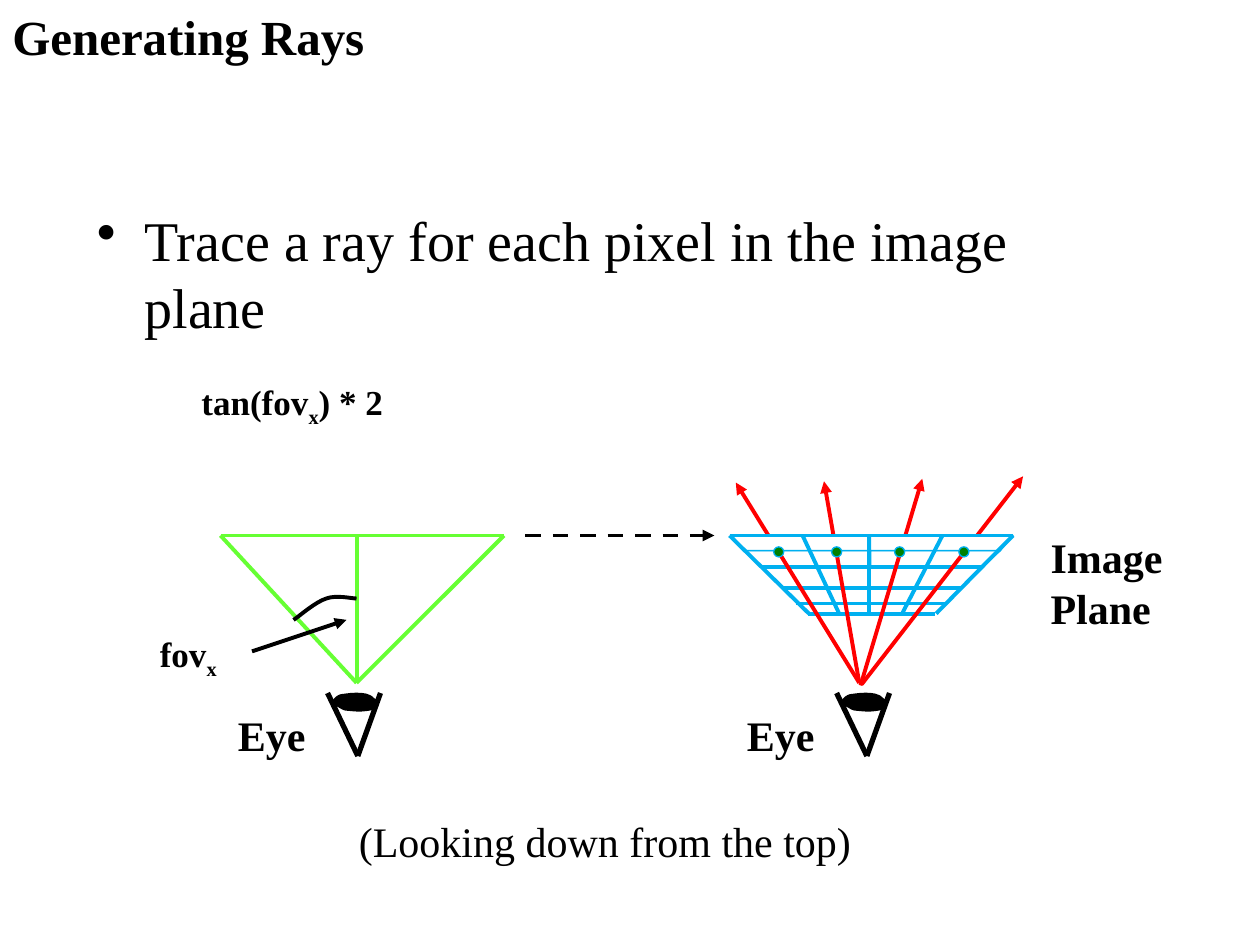
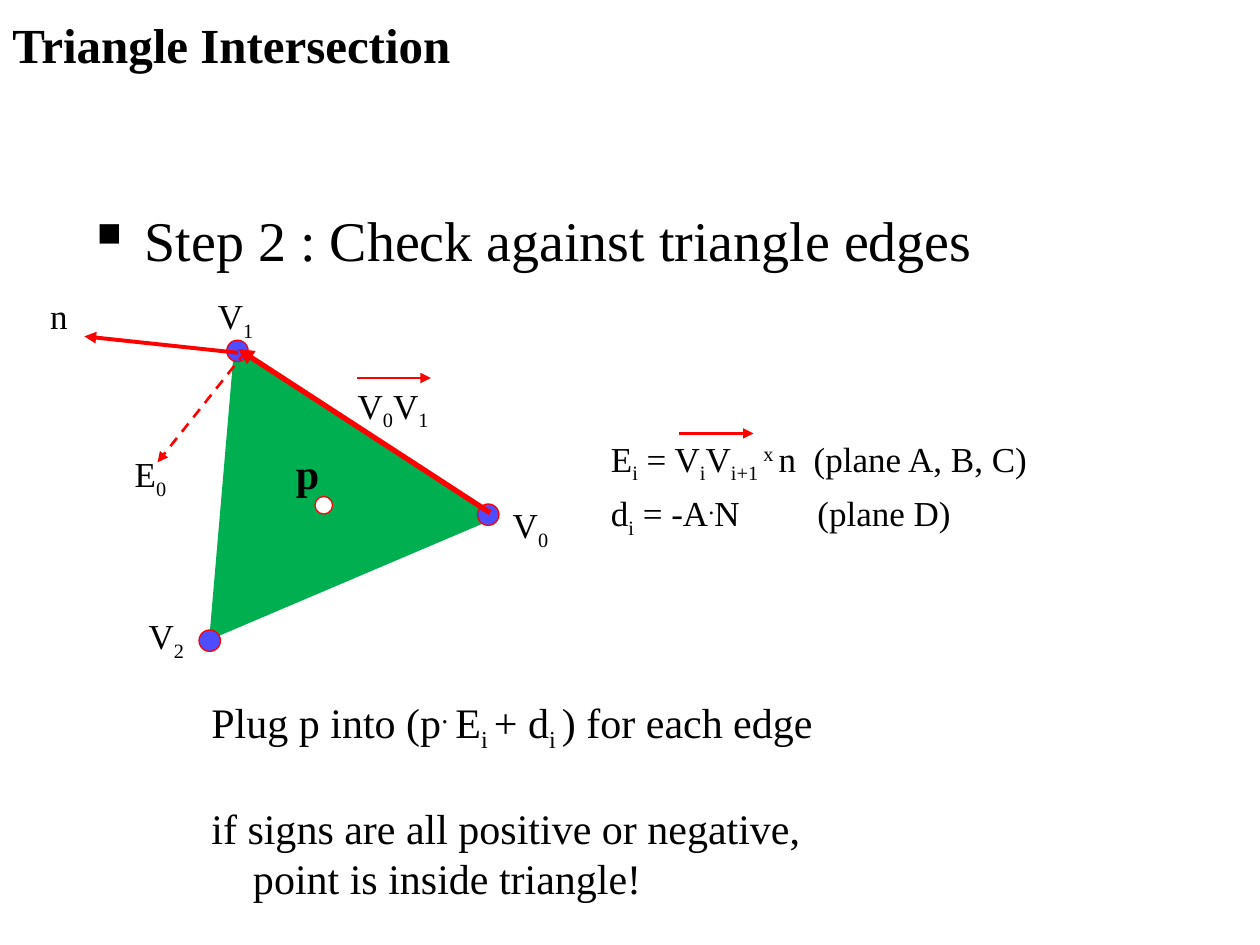
from lxml import etree
from pptx import Presentation
from pptx.dml.color import RGBColor
from pptx.enum.dml import MSO_LINE
from pptx.enum.shapes import MSO_CONNECTOR, MSO_SHAPE
from pptx.enum.text import MSO_ANCHOR, MSO_AUTO_SIZE, PP_ALIGN
from pptx.oxml.ns import qn
from pptx.util import Inches, Pt

STRAIGHT = MSO_CONNECTOR.STRAIGHT
OVAL = MSO_SHAPE.OVAL
DASH = MSO_LINE.DASH
TOP, MIDDLE = MSO_ANCHOR.TOP, MSO_ANCHOR.MIDDLE
LEFT, RIGHT = PP_ALIGN.LEFT, PP_ALIGN.RIGHT
FIT_SHAPE, NO_FIT = MSO_AUTO_SIZE.SHAPE_TO_FIT_TEXT, MSO_AUTO_SIZE.NONE

FONT = "Times New Roman"
BLACK, WHITE, RED = "000000", "FFFFFF", "FF0000"
PLANE_BLUE, PIXEL_GREEN, VIEW_GREEN = "00B0F0", "008000", "66FF33"
TRIANGLE_GREEN, VERTEX_BLUE = "00B050", "4D4DFF"
SUB, SUPER = -25, 30


def color(hex_string):
    return RGBColor.from_string(hex_string)


def curve(start, *segments, steps=8):
    """Return points along joined cubic Bezier segments."""
    points = [start]
    for first, second, end in segments:
        begin = points[-1]
        for step in range(1, steps + 1):
            t = step / steps
            u = 1 - t
            points.append(tuple(
                u**3 * a + 3 * u * u * t * b + 3 * u * t * t * c + t**3 * d
                for a, b, c, d in zip(begin, first, second, end)))
    return points


class Deck:
    def __init__(self):
        self.presentation = Presentation()
        self.presentation.slide_width = Inches(10)
        self.presentation.slide_height = Inches(7.5)
        self.shapes = None

    def new_slide(self, title, anchor, statement, bullet, bullet_percent=100):
        layout = self.presentation.slide_layouts[6]
        self.shapes = self.presentation.slides.add_slide(layout).shapes
        frame = self.text((0, 0, 9.67, 0.69), [[title]], 28, bold=True, fit=False)
        frame.vertical_anchor = anchor
        frame = self.text((0.67, 1.58, 8.5, 5.03), [[statement]], 32, fit=False)
        paragraph = frame.paragraphs[0]
        paragraph.space_before = Pt(6.4)
        properties = paragraph._p.get_or_add_pPr()
        properties.set("marL", str(Inches(0.38)))
        properties.set("indent", str(-Inches(0.38)))
        etree.SubElement(properties, qn("a:buSzPct")).set("val", str(bullet_percent * 1000))
        etree.SubElement(properties, qn("a:buChar")).set("char", bullet)

    def text(self, box, lines, size, bold=False, align=LEFT, fit=True):
        """Add lines of runs; a run is a string or (string, baseline percent[, size])."""
        frame = self.shapes.add_textbox(*map(Inches, box)).text_frame
        frame.word_wrap = not fit
        frame.auto_size = FIT_SHAPE if fit else NO_FIT
        for index, runs in enumerate(lines):
            paragraph = frame.add_paragraph() if index else frame.paragraphs[0]
            paragraph.alignment = align
            for item in runs:
                words, baseline, run_size = ((item,) if isinstance(item, str) else item) \
                    + (0, size)[len(item) - 1 if isinstance(item, tuple) else 0:]
                run = paragraph.add_run()
                run.text = words
                run.font.name = FONT
                run.font.size = Pt(run_size)
                run.font.bold = bold
                run.font.color.rgb = color(BLACK)
                if baseline:
                    run._r.get_or_add_rPr().set("baseline", str(baseline * 1000))
        return frame

    def line(self, start, end, line_color, width=2.25, arrow=False, dash=None):
        connector = self.shapes.add_connector(STRAIGHT, *map(Inches, start + end))
        connector.line.color.rgb = color(line_color)
        connector.line.width = Pt(width)
        if dash:
            connector.line.dash_style = dash
        if arrow:
            outline = connector.line._get_or_add_ln()
            etree.SubElement(outline, qn("a:tailEnd")).set("type", "triangle")
        etree.SubElement(connector._element.spPr, qn("a:effectLst"))

    def paint(self, shape, fill, line_color, width):
        shape.shadow.inherit = False
        if fill:
            shape.fill.solid()
            shape.fill.fore_color.rgb = color(fill)
        else:
            shape.fill.background()
        if line_color:
            shape.line.color.rgb = color(line_color)
            shape.line.width = Pt(width)
        else:
            shape.line.fill.background()

    def outline(self, points, fill=None, line_color=None, width=0.75, close=True):
        start, *others = [(Inches(x), Inches(y)) for x, y in points]
        builder = self.shapes.build_freeform(*start)
        builder.add_line_segments(others, close=close)
        self.paint(builder.convert_to_shape(), fill, line_color, width)

    def dot(self, left, top, diameter, fill, line_color):
        box = map(Inches, (left, top, diameter, diameter))
        self.paint(self.shapes.add_shape(OVAL, *box), fill, line_color, 0.75)

    def eye(self, x):
        """Draw an eye whose lines of sight meet at x, with its label."""
        self.text((x - 1.05, 5.58, 0.75, 0.5), [["Eye"]], 24, bold=True)
        for side in (-0.24, 0.18):
            self.line((x, 6), (x + side, 5.5), BLACK, 3)
        pupil = curve(
            (-0.19, 5.59),
            ((-0.18, 5.56), (-0.16, 5.54), (-0.13, 5.53)),
            ((-0.11, 5.53), (0.07, 5.49), (0.12, 5.56)),
            ((0.14, 5.57), (0.15, 5.58), (0.14, 5.6)),
            ((0.11, 5.62), (0.13, 5.61), (0.09, 5.62)),
            ((0.01, 5.63), (0.02, 5.63), (-0.09, 5.62)),
            ((-0.12, 5.62), (-0.16, 5.57), (-0.19, 5.59)))
        self.outline([(x + dx, y) for dx, y in pupil], BLACK, BLACK, 3)

    def pixel_row(self, upper, lower):
        """Draw the cells between two (y, xs) grid lines."""
        (top, top_xs), (bottom, bottom_xs) = upper, lower
        for i in range(len(top_xs) - 1):
            self.outline([(top_xs[i], top), (top_xs[i + 1], top),
                          (bottom_xs[i + 1], bottom), (bottom_xs[i], bottom)],
                         WHITE, PLANE_BLUE)


def generating_rays(deck):
    deck.new_slide("Generating Rays", TOP,
                   "Trace a ray for each pixel in the image plane", "•")

    for y, left, right in ((4.87, 6.41, 7.42), (4.79, 6.32, 7.5), (4.67, 6.21, 7.63)):
        deck.line((left, y), (right, y), PLANE_BLUE)
    far = (4.25, (5.81, 6.37, 6.91, 7.47, 8.04))
    centre = (4.37, (5.9, 6.42, 6.91, 7.42, 7.94))
    near = (4.5, (6.05, 6.48, 6.91, 7.35, 7.79))
    deck.pixel_row(centre, near)
    deck.line((6.04, 4.5), (7.79, 4.5), PLANE_BLUE)
    for start, tip in (((6.84, 5.43), (8.12, 3.78)), ((6.83, 5.44), (7.32, 3.8)),
                       ((6.82, 5.42), (5.84, 3.83)), ((6.82, 5.42), (6.54, 3.82))):
        deck.line(start, tip, RED, arrow=True)
    deck.pixel_row(far, centre)
    for top_x, bottom_x in ((5.79, 6.42), (8.04, 7.43), (7.48, 7.16),
                            (6.9, 6.9), (6.37, 6.66)):
        deck.line((top_x, 4.25), (bottom_x, 4.87), PLANE_BLUE)
    deck.line((5.79, 4.25), (8.04, 4.25), PLANE_BLUE)
    for left in (6.14, 6.6, 7.1, 7.61):
        deck.dot(left, 4.34, 0.08, PIXEL_GREEN, PLANE_BLUE)

    deck.text((1.5, 2.97, 1.66, 0.44), [["tan(fov", ("x", SUB), ") * 2"]], 20, bold=True)
    deck.text((2.75, 6.42, 4.14, 0.5), [["(Looking down from the top)"]], 24)
    deck.text((8.24, 4.17, 1.1, 0.91), [["Image"], ["Plane"]], 24, bold=True)
    for x in (2.84, 6.88):
        deck.eye(x)

    left, right, middle, apex = (1.75, 4.25), (4, 4.25), (2.83, 4.25), (2.83, 5.42)
    for start, end in ((left, right), (left, apex), (right, apex), (middle, apex)):
        deck.line(start, end, VIEW_GREEN)
    angle_arc = curve((2.83, 4.75),
                      ((2.79, 4.75), (2.67, 4.72), (2.59, 4.75)),
                      ((2.5, 4.78), (2.39, 4.88), (2.33, 4.92)))
    deck.outline(angle_arc, line_color=BLACK, width=2.25, close=False)
    deck.text((1.17, 4.97, 0.67, 0.44), [["fov", ("x", SUB)]], 20, bold=True)
    deck.line((2, 5.17), (2.75, 4.92), BLACK, arrow=True)
    deck.line((4.17, 4.25), (5.67, 4.25), BLACK, arrow=True, dash=DASH)


def triangle_intersection(deck):
    deck.new_slide("Triangle Intersection", MIDDLE,
                   "Step 2 : Check against triangle edges", "■", 60)

    deck.outline([(1.86, 2.75), (1.66, 5.08), (3.94, 4.11)], TRIANGLE_GREEN)
    deck.dot(2.5, 3.94, 0.14, WHITE, RED)
    for left, top in ((1.8, 2.7), (3.79, 4), (1.58, 5)):
        deck.dot(left, top, 0.17, VERTEX_BLUE, RED)
    deck.text((2.25, 3.5, 0.39, 0.5), [["p"]], 24, bold=True)
    deck.line((3.89, 4.07), (1.89, 2.77), RED, 3, arrow=True)
    for number, left, top in (("1", 1.61, 2.29), ("2", 1.06, 4.83), ("0", 3.95, 3.95)):
        deck.text((left, top, 0.5, 0.44), [["V", (number, SUB)]], 20, align=RIGHT)
    deck.line((1.89, 2.8), (0.67, 2.67), RED, arrow=True)
    deck.text((0.3, 2.29, 0.34, 0.44), [["n"]], 20)
    deck.line((1.95, 2.79), (1.25, 3.67), RED, 1.5, arrow=True, dash=DASH)

    frame = deck.text((1.58, 5.42, 5.06, 1.72), [
        ["Plug p into (p", (". ", SUPER, 28), "E", ("i ", SUB), "+ d", ("i ", SUB),
         ") for each edge"],
        ["if signs are all positive or negative,"],
        ["point is inside triangle!"]], 24)
    frame.paragraphs[1].space_before = Pt(28)
    frame.paragraphs[2]._p.get_or_add_pPr().set("marL", str(Inches(0.33)))

    deck.text((2.71, 3, 0.79, 0.44), [["V", ("0", SUB), "V", ("1", SUB)]], 20, align=RIGHT)
    deck.text((0.97, 3.54, 0.48, 0.44), [["E", ("0", SUB)]], 20)
    deck.text((4.75, 3.42, 3.68, 0.77), [
        ["E", ("i", SUB), " = V", ("i", SUB), "V", ("i+1 ", SUB), ("x ", SUPER),
         "n  (plane A, B, C)"],
        ["d", ("i", SUB), " = -A", (".", SUPER, 24), "N\t  (plane D)"]], 20)
    for left, y in ((2.83, 3), (5.39, 3.44)):
        deck.line((left, y), (left + 0.59, y), RED, 1.5, arrow=True)


def main():
    deck = Deck()
    generating_rays(deck)
    triangle_intersection(deck)
    deck.presentation.save("out.pptx")


if __name__ == "__main__":
    main()
